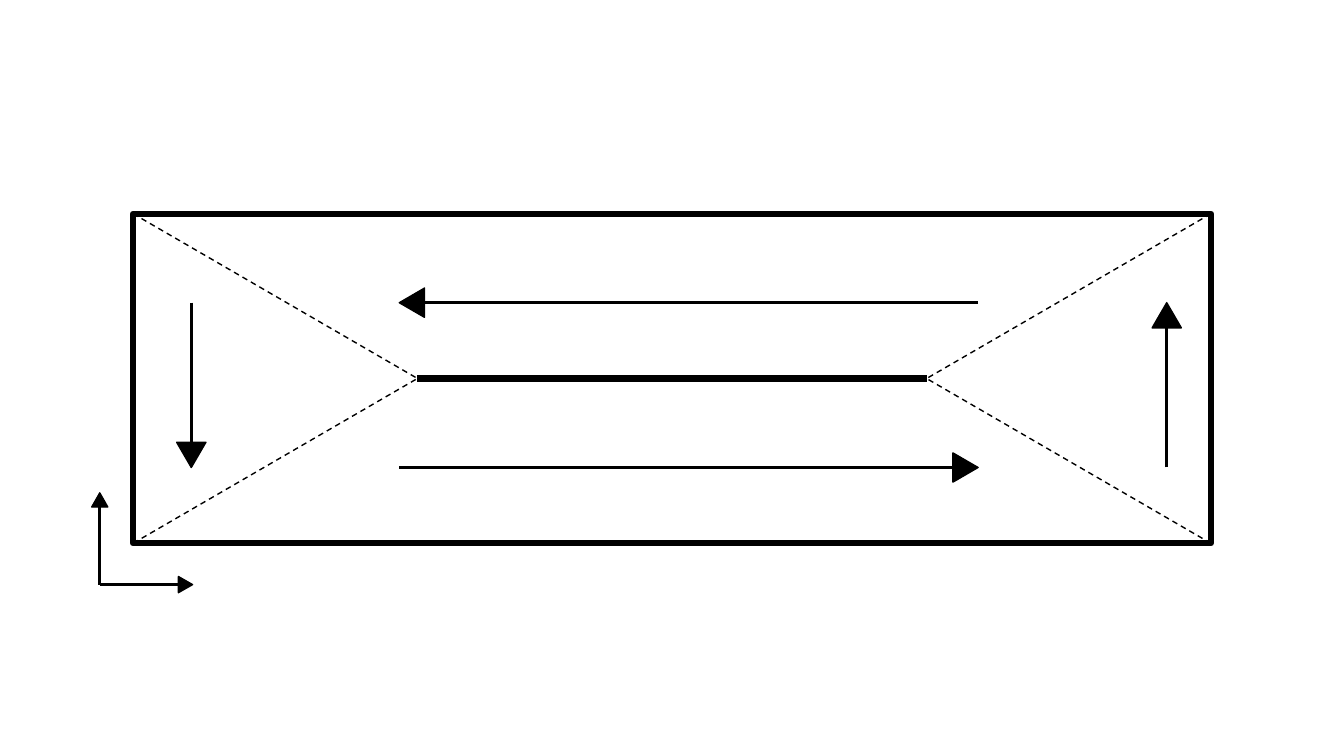
from math import atan2, cos, degrees, radians, sin

from lxml.etree import SubElement
from pptx import Presentation
from pptx.dml.color import RGBColor
from pptx.enum.dml import MSO_LINE
from pptx.enum.shapes import MSO_CONNECTOR, MSO_SHAPE
from pptx.oxml.ns import qn
from pptx.util import Inches, Pt

BLACK = RGBColor(0x00, 0x00, 0x00)
UP, RIGHT, DOWN, LEFT = 0, 90, 180, 270


def add_outlined(slide, preset, box, weight, fill=None, dash=None, angle=0):
    """Add a preset shape with a black outline and an optional fill."""
    sp = slide.shapes.add_shape(preset, *[Inches(v) for v in box])
    sp.shadow.inherit = False
    sp.rotation = angle
    if fill is None:
        sp.fill.background()
    else:
        sp.fill.solid()
        sp.fill.fore_color.rgb = fill
    sp.line.color.rgb = BLACK
    sp.line.width = Pt(weight)
    if dash:
        sp.line.dash_style = dash
    return sp


def add_triangle(slide, tip, angle, base, height, **style):
    """Add a triangle whose apex lies at tip and points along angle."""
    cx = tip[0] - sin(radians(angle)) * height / 2
    cy = tip[1] + cos(radians(angle)) * height / 2
    box = (cx - base / 2, cy - height / 2, base, height)
    return add_outlined(slide, MSO_SHAPE.ISOSCELES_TRIANGLE, box,
                        angle=angle, **style)


def add_line(slide, start, end, weight, arrow=False):
    """Add a straight black line, with an arrowhead at its end if asked."""
    points = [Inches(v) for v in (*start, *end)]
    line = slide.shapes.add_connector(MSO_CONNECTOR.STRAIGHT, *points)
    line.line.color.rgb = BLACK
    line.line.width = Pt(weight)
    if arrow:
        SubElement(line.line._get_or_add_ln(), qn("a:tailEnd"), type="triangle")
    SubElement(line._element.spPr, qn("a:effectLst"))
    return line


def add_arrow(slide, start, end, base, height):
    """Add an arrow with a large solid head whose apex is its end."""
    add_line(slide, start, end, 2.25, arrow=True)
    angle = degrees(atan2(end[0] - start[0], start[1] - end[1])) % 360
    add_triangle(slide, end, angle, base, height, weight=1, fill=BLACK)


def draw_plate(slide, x, y, w, h):
    """Draw the frame, its dashed end triangles and the centre line."""
    add_outlined(slide, MSO_SHAPE.RECTANGLE, (x, y, w, h), 4.5)
    depth = 2.82
    mid = y + h / 2
    left_tip, right_tip = (x + depth, mid), (x + w - depth, mid)
    for tip, angle in ((left_tip, RIGHT), (right_tip, LEFT)):
        add_triangle(slide, tip, angle, h, depth, weight=1, dash=MSO_LINE.DASH)
    add_line(slide, left_tip, right_tip, 4.5)


def draw_flow(slide, x, y, w, h):
    """Draw the four arrows that circulate inside the plate."""
    outer_left, inner_left, inner_right, outer_right = [
        x + w * share for share in (0.054, 0.247, 0.784, 0.959)]
    top, bottom = [y + h * share for share in (0.27, 0.77)]
    for start, end in (
            ((inner_left, bottom), (inner_right, bottom)),
            ((inner_right, top), (inner_left, top)),
            ((outer_right, bottom), (outer_right, top)),
            ((outer_left, top), (outer_left, bottom))):
        add_arrow(slide, start, end, base=0.29, height=0.25)


def draw_axes(slide, x, y, w, h):
    """Draw the two axes from the lower left corner of the box."""
    origin = (x, y + h)
    for end in ((x + w, y + h), (x, y)):
        add_arrow(slide, origin, end, base=0.16, height=0.14)


def main():
    prs = Presentation()
    prs.slide_width, prs.slide_height = Inches(13.33), Inches(7.5)
    slide = prs.slides.add_slide(prs.slide_layouts[6])
    plate = (1.32, 2.12, 10.69, 3.27)
    draw_plate(slide, *plate)
    draw_flow(slide, *plate)
    draw_axes(slide, 0.99, 4.89, 0.92, 0.91)
    prs.save("out.pptx")


if __name__ == "__main__":
    main()
